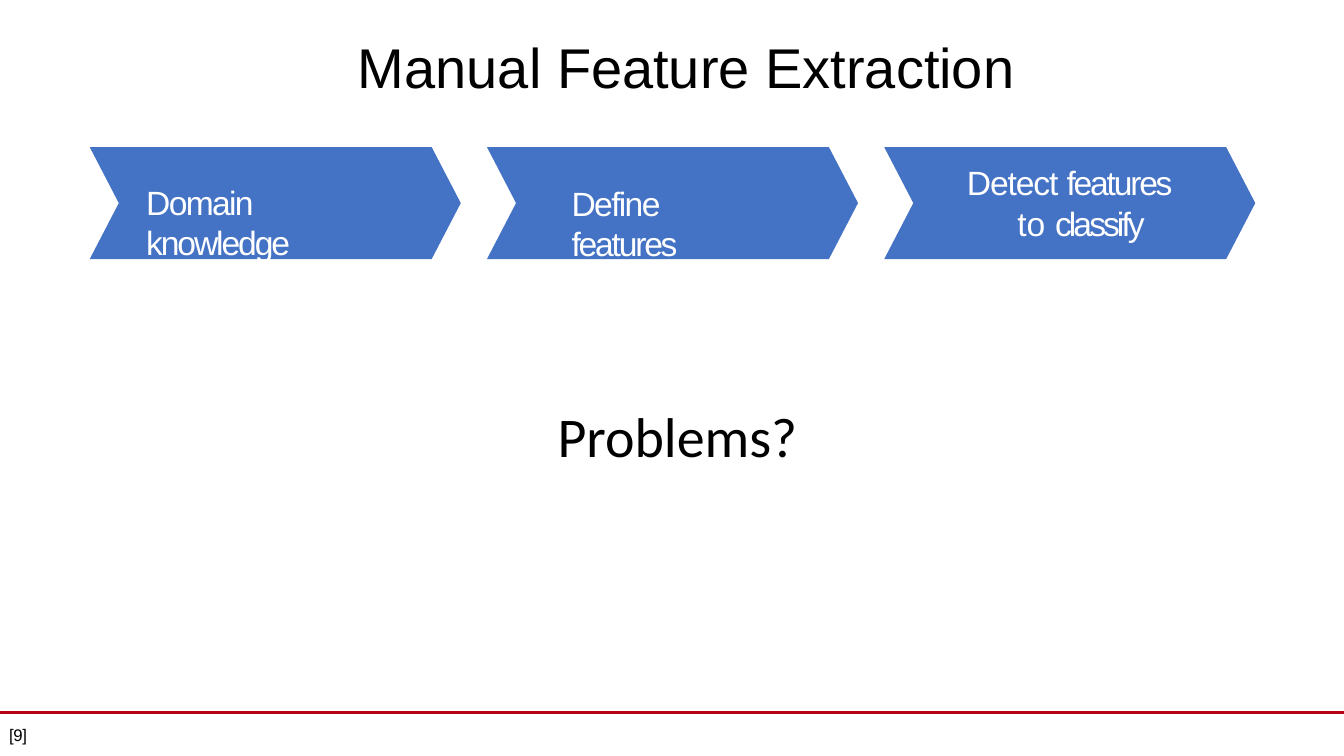
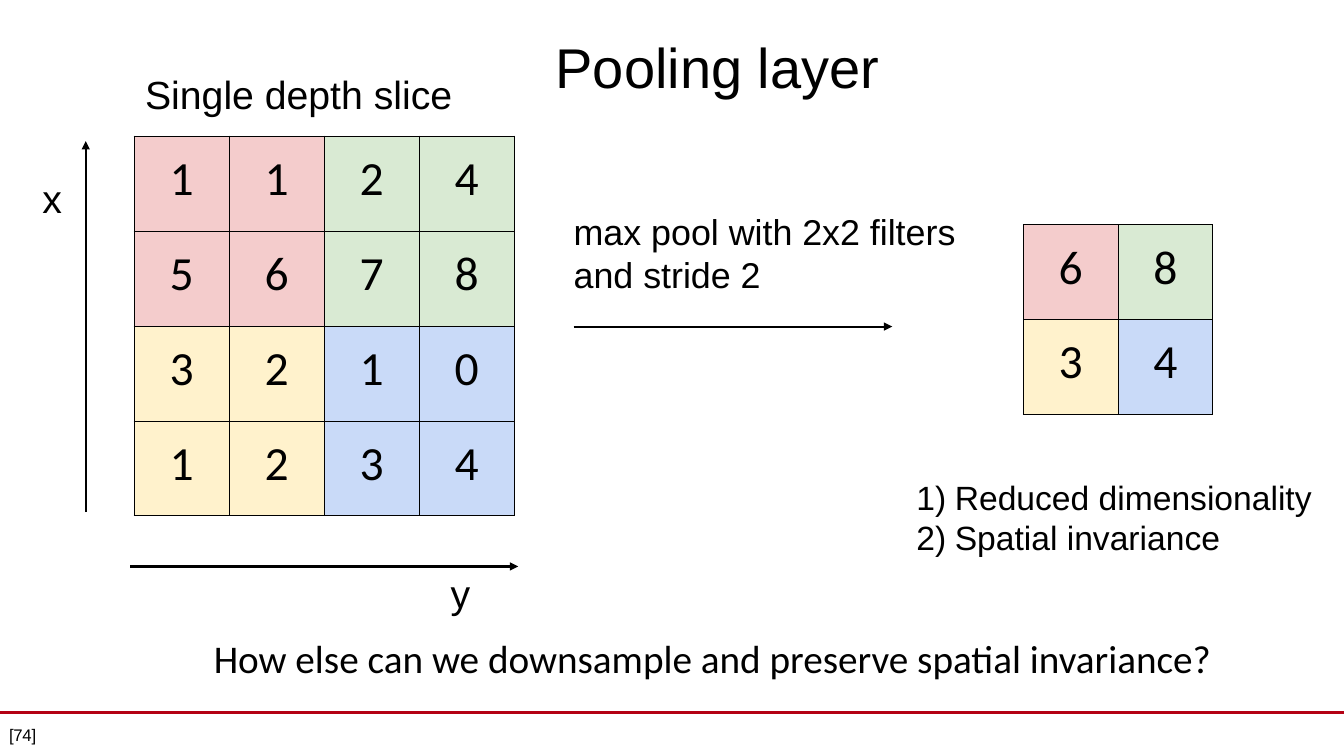
from lxml.etree import SubElement
from pptx import Presentation
from pptx.dml.color import RGBColor
from pptx.enum.shapes import MSO_CONNECTOR as CONNECTOR, MSO_SHAPE as SHAPE
from pptx.enum.text import PP_ALIGN as ALIGN
from pptx.oxml.ns import qn
from pptx.util import Inches, Pt

BLACK = RGBColor(0x00, 0x00, 0x00)
WHITE = RGBColor(0xFF, 0xFF, 0xFF)
CRIMSON = RGBColor(0xB4, 0x01, 0x14)
BLUE = RGBColor(0x44, 0x72, 0xC4)
PINK = RGBColor(0xF4, 0xCC, 0xCC)
GREEN = RGBColor(0xD9, 0xEA, 0xD3)
CREAM = RGBColor(0xFF, 0xF2, 0xCC)
SKY = RGBColor(0xC9, 0xDA, 0xF8)
QUADRANTS = [[PINK, GREEN], [CREAM, SKY]]
SANS, BODY = "Arial", "Calibri"
WIDTH, HEIGHT = 13.33, 7.5
TIGHT = (0, 0.02, 0, 0)
ROOMY = (0.14,) * 4


def add_run(paragraph, text, size, color=BLACK, font=SANS, spacing=0):
    run = paragraph.add_run()
    run.text = text
    run.font.size = Pt(size)
    run.font.name = font
    run.font.color.rgb = color
    if spacing:
        run.font._element.set("spc", str(round(spacing * 100)))


def set_insets(owner, insets):
    sides = ("left", "top", "right", "bottom")
    for side, inset in zip(sides, insets):
        setattr(owner, f"margin_{side}", Inches(inset))


def text_frame(slide, box, insets=TIGHT):
    frame = slide.shapes.add_textbox(*map(Inches, box)).text_frame
    frame.word_wrap = True
    set_insets(frame, insets)
    return frame


def add_label(slide, box, text, size, font=SANS, insets=TIGHT, align=ALIGN.LEFT):
    paragraph = text_frame(slide, box, insets).paragraphs[0]
    paragraph.alignment = align
    add_run(paragraph, text, size, font=font)
    return paragraph


def set_indent(paragraph, left, first):
    properties = paragraph._p.get_or_add_pPr()
    properties.set("marL", str(Inches(left)))
    properties.set("indent", str(Inches(first)))
    return properties


def add_line(slide, start, end, color=BLACK, width=1.5, arrow=True):
    points = map(Inches, (*start, *end))
    line = slide.shapes.add_connector(CONNECTOR.STRAIGHT, *points)
    line.line.color.rgb = color
    line.line.width = Pt(width)
    if arrow:
        SubElement(line.line._get_or_add_ln(), qn("a:tailEnd"), type="triangle")
    SubElement(line._element.spPr, qn("a:effectLst"))


def add_slide(deck, title, title_box, number, align=ALIGN.LEFT):
    slide = deck.slides.add_slide(deck.slide_layouts[6])
    add_line(slide, (0, 7.07), (WIDTH, 7.07), CRIMSON, 2.25, arrow=False)
    add_label(slide, title_box, title, 40, align=align)
    footer = text_frame(slide, (0.08, 7.19, 0.87, 0.2), (0.01, 0, 0, 0)).paragraphs[0]
    footer.line_spacing = Pt(14.2)
    add_run(footer, f"[{number}]", 12, spacing=-0.2)
    return slide


def add_step(slide, left, top, offset, size, words, hanging=0):
    chevron = slide.shapes.add_shape(
        SHAPE.CHEVRON, Inches(left), Inches(top), Inches(3.68), Inches(1.11))
    chevron.adjustments[0] = 0.26
    chevron.shadow.inherit = False
    chevron.fill.solid()
    chevron.fill.fore_color.rgb = BLUE
    chevron.line.fill.background()
    box = (left + offset[0], top + offset[1], *size)
    paragraph = text_frame(slide, box).paragraphs[0]
    set_indent(paragraph, hanging + 0.01, -hanging)
    for word, spacing in words:
        add_run(paragraph, word, 24, WHITE, spacing=spacing)


def add_border(cell):
    properties = cell._tc.get_or_add_tcPr()
    for side in ("lnL", "lnR", "lnT", "lnB"):
        edge = SubElement(properties, qn(f"a:{side}"), w=str(Pt(0.75)))
        fill = SubElement(edge, qn("a:solidFill"))
        SubElement(fill, qn("a:srgbClr"), val=str(BLACK))


def add_grid(slide, left, top, side, rows):
    count = len(rows)
    box = map(Inches, (left, top, side, side))
    table = slide.shapes.add_table(count, count, *box).table
    table.first_row = table.horz_banding = False
    for r, row in enumerate(rows):
        for c, value in enumerate(row):
            cell = table.cell(r, c)
            add_border(cell)
            cell.fill.solid()
            cell.fill.fore_color.rgb = QUADRANTS[2 * r // count][2 * c // count]
            set_insets(cell, ROOMY)
            paragraph = cell.text_frame.paragraphs[0]
            paragraph.alignment = ALIGN.CENTER
            add_run(paragraph, str(value), 34, font=BODY)


def add_numbered(slide, box, items):
    frame = text_frame(slide, box)
    for index, item in enumerate(items):
        paragraph = frame.add_paragraph() if index else frame.paragraphs[0]
        properties = set_indent(paragraph, 0.39, -0.38)
        SubElement(properties, qn("a:buFont"), typeface=SANS)
        SubElement(properties, qn("a:buAutoNum"), type="arabicParenR")
        add_run(paragraph, item, 24)


def feature_slide(deck):
    slide = add_slide(deck, "Manual Feature Extraction", (3.55, 0.3, 6.53, 0.69), 9)
    steps = [
        ((0.55, 0.32), (2.4, 0.83), [("Domain ", -1.2), ("knowledge", -1.5)], 0),
        ((0.83, 0.33), (1.85, 0.83), [("Define ", -1.2), ("features", -1.6)], 0),
        ((0.81, 0.13), (2.1, 0.83),
         [("Detect ", -0.8), ("features ", -1.6), ("to ", 0.1), ("classify", -2.1)], 0.5),
    ]
    for index, step in enumerate(steps):
        add_step(slide, 0.89 + 3.94 * index, 1.46, *step)
    add_label(slide, (5.53, 3.96, 2.52, 0.69), "Problems?", 40, BODY)


def pooling_slide(deck):
    slide = add_slide(deck, "Pooling layer", (5.23, 0.3, 3.77, 0.69), 74, ALIGN.CENTER)
    add_label(slide, (2.12, 6.27, 10.29, 0.49),
              "How else can we downsample and preserve spatial invariance?", 28, BODY)
    add_numbered(slide, (9.08, 4.71, 4.16, 0.82),
                 ["Reduced dimensionality", "Spatial invariance"])
    add_grid(slide, 1.33, 1.35, 3.77,
             [[1, 1, 2, 4], [5, 6, 7, 8], [3, 2, 1, 0], [1, 2, 3, 4]])
    add_grid(slide, 10.15, 2.23, 1.88, [[6, 8], [3, 4]])
    for box, text, size in [
        ((1.3, 0.56, 4.07, 0.88), "Single depth slice", 28),
        ((0.28, 1.59, 0.61, 0.73), "x", 28),
        ((4.33, 5.51, 0.61, 0.57), "y", 28),
        ((5.55, 1.94, 4.16, 1.13), "max pool with 2x2 filters and stride 2", 25.6),
    ]:
        add_label(slide, box, text, size, insets=ROOMY)
    for start, end in [
        ((0.85, 5.08), (0.85, 1.4)),
        ((1.29, 5.62), (5.14, 5.62)),
        ((5.69, 3.24), (8.85, 3.24)),
    ]:
        add_line(slide, start, end)


def main():
    deck = Presentation()
    deck.slide_width = Inches(WIDTH)
    deck.slide_height = Inches(HEIGHT)
    feature_slide(deck)
    pooling_slide(deck)
    deck.save("out.pptx")


if __name__ == "__main__":
    main()
